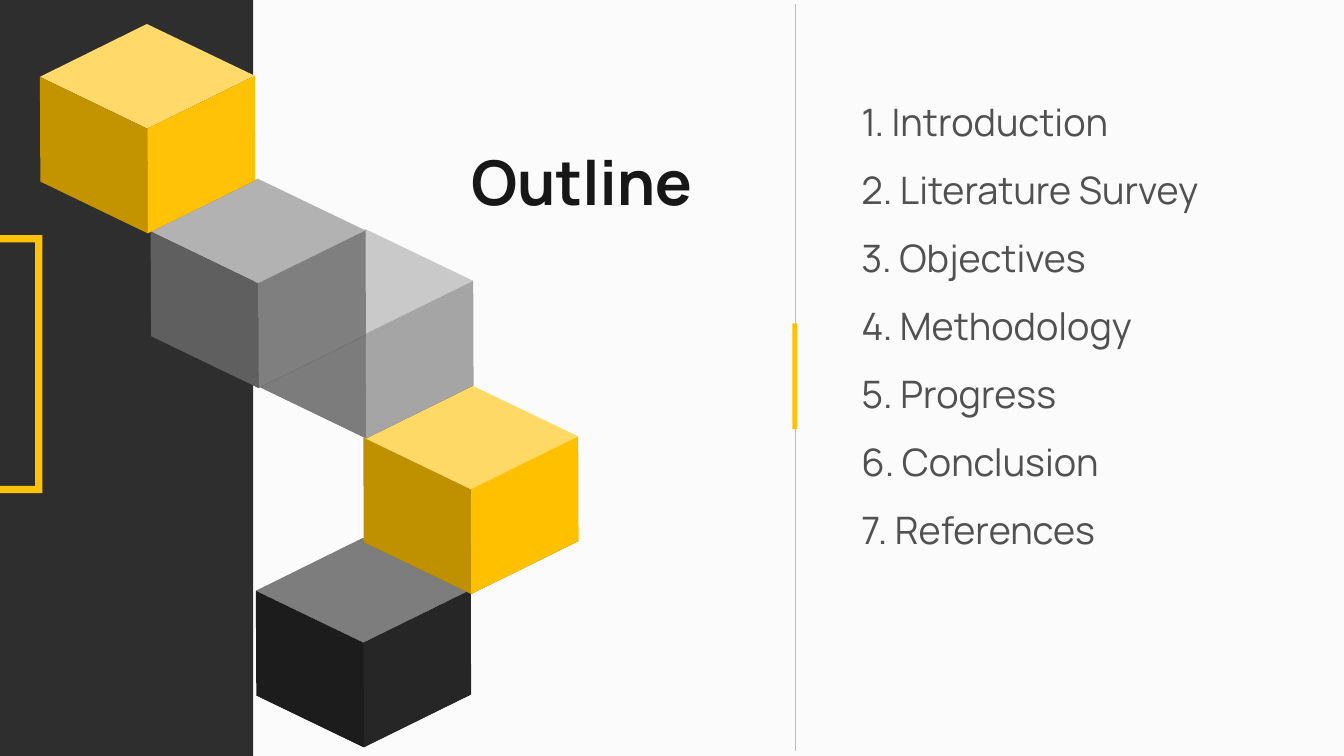
"""Build the Outline slide: a stack of cubes beside a numbered agenda."""
from dataclasses import dataclass

from lxml import etree
from pptx import Presentation
from pptx import util as u
from pptx.dml.color import RGBColor
from pptx.enum import shapes, text
from pptx.oxml.ns import qn

FONT = "Manrope"
COLORS = {
    "background": "FBFBFB",
    "panel": "2E2E2E",
    "accent": "FFC206",
    "divider": "BCBCBC",
    "title": "171717",
    "agenda": "515151",
}
AGENDA = ["Introduction", "Literature Survey", "Objectives", "Methodology",
          "Progress", "Conclusion", "References"]
CORNERS = {
    "front": (0, 0),
    "back": (-0.7, -149.5),
    "left": (-153.5, -74),
    "right": (153.5, -75.5),
    "low_left": (-152.8, 75.5),
    "low_right": (154, 74),
    "bottom": (0.7, 149.5),
}
FACES = [
    ("back", "left", "front", "right"),
    ("front", "low_left", "bottom", "low_right"),
    ("bottom", "low_left", "left", "front"),
    ("bottom", "low_right", "right", "front"),
]


@dataclass(frozen=True)
class Box:
    """Position and size in points."""
    left: float
    top: float
    width: float
    height: float

    def lengths(self) -> list[u.Length]:
        """Return the four values as lengths."""
        return [u.Pt(v) for v in (self.left, self.top, self.width, self.height)]


@dataclass(frozen=True)
class Cube:
    """Front corner in points and the colours of top, base, left and right faces."""
    x: float
    y: float
    fills: tuple[str, str, str, str]


CUBES = [
    Cube(519, 918, ("7D7D7D", "131313", "1C1C1C", "262626")),
    Cube(672.5, 699, ("FFD966", "806000", "BF9000", "FFC000")),
    Cube(522.5, 476.7, ("C9C9C9", "525252", "7C7C7C", "A5A5A5")),
    Cube(368.7, 404.7, ("B2B2B2", "404040", "5F5F5F", "7F7F7F")),
    Cube(210.5, 183.8, ("FFDA6A", "826300", "C49400", "FFC206")),
]


def paint(shape, color: str) -> None:
    """Give a shape a flat fill without outline or shadow."""
    shape.fill.solid()
    shape.fill.fore_color.rgb = RGBColor.from_string(color)
    shape.line.fill.background()
    shape.shadow.inherit = False


def add_block(parent, preset, box: Box, color: str):
    """Add a flat preset shape."""
    block = parent.add_shape(preset, *box.lengths())
    paint(block, color)
    return block


def add_cube(parent, cube: Cube) -> None:
    """Draw the four faces of a cube."""
    for face, color in zip(FACES, cube.fills):
        points = [(u.Pt(cube.x + CORNERS[c][0]), u.Pt(cube.y + CORNERS[c][1]))
                  for c in face]
        builder = parent.build_freeform(*points[0])
        builder.add_line_segments(points[1:], close=True)
        paint(builder.convert_to_shape(), color)


def add_divider(parent, x: float, top: float, bottom: float) -> None:
    """Draw the thin vertical rule."""
    rule = parent.add_connector(shapes.MSO_CONNECTOR.STRAIGHT,
                                u.Pt(x), u.Pt(top), u.Pt(x), u.Pt(bottom))
    rule.line.color.rgb = RGBColor.from_string(COLORS["divider"])
    rule.line.width = u.Pt(0.5)
    etree.SubElement(rule.line._get_or_add_ln().getparent(), qn("a:effectLst"))


def write(shape, box: Box, lines: list[str], size: float, color: str,
          bold: bool = False, spacing: float = 1.0) -> None:
    """Place a text shape and fill it with one paragraph a line."""
    shape.left, shape.top, shape.width, shape.height = box.lengths()
    frame = shape.text_frame
    frame.word_wrap = True
    frame.auto_size = text.MSO_AUTO_SIZE.SHAPE_TO_FIT_TEXT
    frame.vertical_anchor = text.MSO_ANCHOR.TOP
    frame.margin_left = frame.margin_right = 0
    frame.margin_top = frame.margin_bottom = 0
    for index, line in enumerate(lines):
        paragraph = frame.add_paragraph() if index else frame.paragraphs[0]
        paragraph.alignment = text.PP_ALIGN.LEFT
        paragraph.line_spacing = spacing
        run = paragraph.add_run()
        run.text = line
        run.font.name = FONT
        run.font.size = u.Pt(size)
        run.font.bold = bold
        run.font.color.rgb = RGBColor.from_string(color)


def main() -> None:
    """Build and save the slide."""
    deck = Presentation()
    deck.slide_width, deck.slide_height = u.Pt(1920), u.Pt(1080)
    slide = deck.slides.add_slide(deck.slide_layouts[5])
    slide.background.fill.solid()
    slide.background.fill.fore_color.rgb = RGBColor.from_string(COLORS["background"])
    preset = shapes.MSO_SHAPE

    add_block(slide.shapes, preset.RECTANGLE, Box(0, 0, 361.5, 1080), COLORS["panel"])
    write(slide.shapes.title, Box(673, 205, 365, 106.5), ["Outline"], 88,
          COLORS["title"], bold=True)
    bracket = add_block(slide.shapes, preset.FRAME, Box(-111, 336, 171.5, 368.5),
                        COLORS["accent"])
    bracket.adjustments[0] = 0.06

    agenda_box = Box(1230.5, 108.7, 620.5, 687)
    agenda = slide.shapes.add_textbox(*agenda_box.lengths())
    write(agenda, agenda_box, [f"{n}. {topic}" for n, topic in enumerate(AGENDA, 1)],
          54, COLORS["agenda"], spacing=1.5)

    divider = slide.shapes.add_group_shape().shapes
    add_divider(divider, 1135.5, 6, 1073.5)
    add_block(divider, preset.RECTANGLE, Box(1132, 462, 7, 151), COLORS["accent"])

    stack = slide.shapes.add_group_shape().shapes
    for cube in CUBES:
        add_cube(stack, cube)

    deck.save("out.pptx")


if __name__ == "__main__":
    main()
